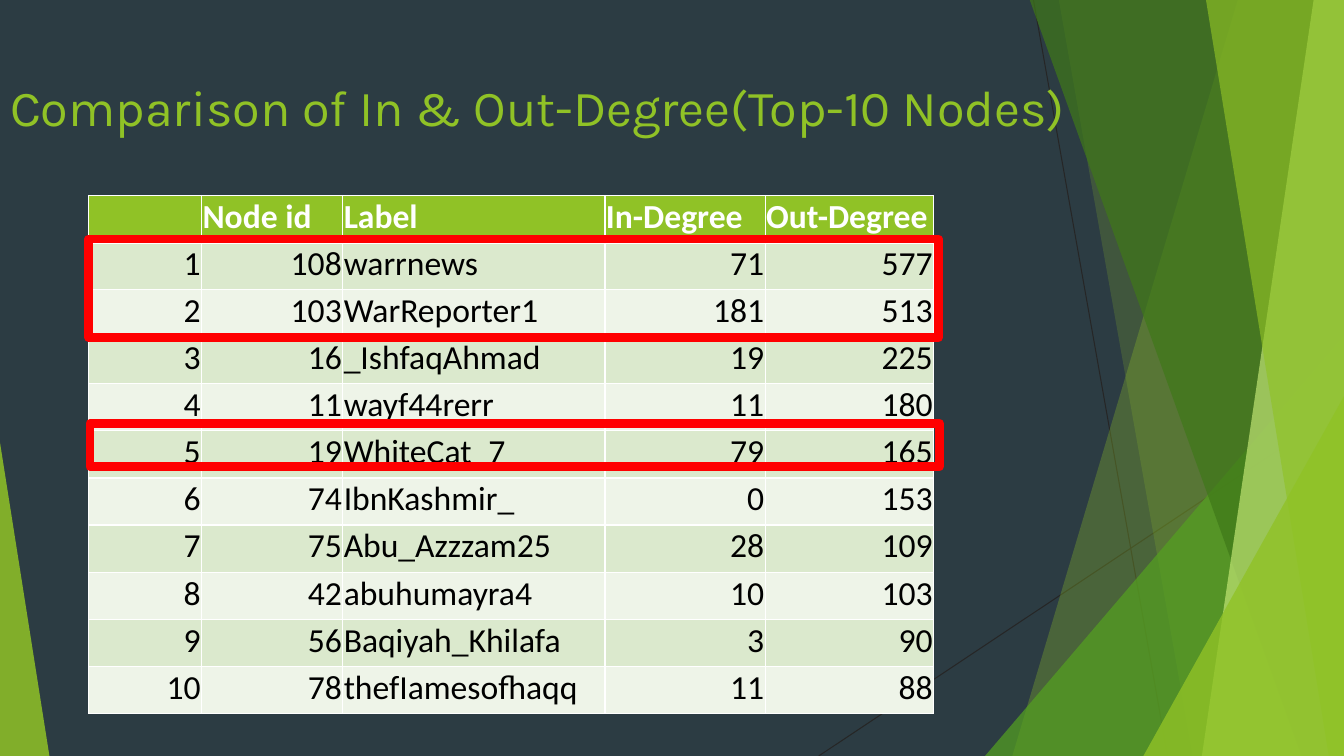
"""Build a slide that compares the in-degree and out-degree of the top ten nodes."""
import dataclasses
import typing

import lxml.etree
import pptx
import pptx.dml.color
import pptx.enum.shapes
import pptx.enum.text
import pptx.oxml.ns
import pptx.util

Inches = pptx.util.Inches
Align = pptx.enum.text.PP_ALIGN
Preset = pptx.enum.shapes.MSO_SHAPE


@dataclasses.dataclass(frozen=True)
class Theme:
    background: str = "2C3C43"
    accent: str = "90C226"
    leaf: str = "54A021"
    forest: str = "3F7819"
    lime: str = "C0E474"
    hairline: str = "262626"
    white: str = "FFFFFF"
    black: str = "000000"
    row_fills: tuple[str, str] = ("DBE9CD", "EEF4E8")
    highlight: str = "FF0000"
    title_font: str = "Karla"
    table_font: str = "Calibri"
    title_size: int = 36
    table_size: int = 24


@dataclasses.dataclass(frozen=True)
class Band:
    top_x: float
    bottom_x: float
    color: str
    opacity: int


@dataclasses.dataclass(frozen=True)
class Triangle:
    left: float
    top: float
    width: float
    apex: float
    color: str
    opacity: int


@dataclasses.dataclass(frozen=True)
class Hairline:
    begin: tuple[float, float]
    end: tuple[float, float]


@dataclasses.dataclass(frozen=True)
class Highlight:
    left: float
    top: float
    width: float
    height: float


@dataclasses.dataclass(frozen=True)
class Column:
    heading: str
    width: float
    alignment: Align = Align.RIGHT


THEME = Theme()
WIDTH, HEIGHT = 13.33, 7.5
BLEED_TOP = -0.01
HAIRLINES = [Hairline((10.25, 0), (11.58, HEIGHT)), Hairline((WIDTH, 4.03), (8.12, HEIGHT))]
FACETS = [
    Band(12.28, 10.04, THEME.accent, 30),
    Band(10.5, 11.83, THEME.accent, 20),
    Triangle(9.77, 3.33, 3.56, 1, THEME.leaf, 72),
    Band(10.21, 12.91, THEME.forest, 70),
    Band(13.03, 11.92, THEME.lime, 70),
    Band(11.96, 13.18, THEME.accent, 65),
    Triangle(11.34, 3.93, 1.99, 1, THEME.accent, 80),
    Triangle(0, 4.39, 0.49, 0, THEME.accent, 85),
]
COLUMNS = [
    Column("", 1.12),
    Column("Node id", 1.4),
    Column("Label", 2.6, Align.LEFT),
    Column("In-Degree", 1.59),
    Column("Out-Degree", 1.67),
]
NODES = [
    (108, "warrnews", 71, 577),
    (103, "WarReporter1", 181, 513),
    (16, "_IshfaqAhmad", 19, 225),
    (11, "wayf44rerr", 11, 180),
    (19, "WhiteCat_7", 79, 165),
    (74, "IbnKashmir_", 0, 153),
    (75, "Abu_Azzzam25", 28, 109),
    (42, "abuhumayra4", 10, 103),
    (56, "Baqiyah_Khilafa", 3, 90),
    (78, "thefIamesofhaqq", 11, 88),
]
ROW_HEIGHT = 0.41
HIGHLIGHTS = [Highlight(0.88, 2.37, 8.43, 0.98), Highlight(0.89, 4.2, 8.43, 0.43)]


def rgb(color: str) -> pptx.dml.color.RGBColor:
    return pptx.dml.color.RGBColor.from_string(color)


def write_text(frame: typing.Any, text: str, *, font: str, size: int, color: str,
               bold: bool = False, alignment: Align = Align.LEFT) -> None:
    paragraph = frame.paragraphs[0]
    paragraph.alignment = alignment
    run = paragraph.add_run()
    run.text = text
    run.font.name = font
    run.font.size = pptx.util.Pt(size)
    run.font.bold = bold
    run.font.color.rgb = rgb(color)


def draw_hairline(slide: typing.Any, hairline: Hairline) -> None:
    ends = [Inches(value) for value in (*hairline.begin, *hairline.end)]
    connector = slide.shapes.add_connector(pptx.enum.shapes.MSO_CONNECTOR.STRAIGHT, *ends)
    connector.line.color.rgb = rgb(THEME.hairline)
    connector.line.width = pptx.util.Pt(0.75)
    properties = connector.element.find(pptx.oxml.ns.qn("p:spPr"))
    lxml.etree.SubElement(properties, pptx.oxml.ns.qn("a:effectLst"))


def draw_facet(slide: typing.Any, facet: Band | Triangle) -> None:
    if isinstance(facet, Band):
        outline = [(WIDTH, BLEED_TOP), (WIDTH, HEIGHT), (facet.bottom_x, HEIGHT)]
        builder = slide.shapes.build_freeform(Inches(facet.top_x), Inches(BLEED_TOP))
        builder.add_line_segments([(Inches(x), Inches(y)) for x, y in outline], close=True)
        shape = builder.convert_to_shape()
    else:
        shape = slide.shapes.add_shape(
            Preset.ISOSCELES_TRIANGLE, Inches(facet.left), Inches(facet.top),
            Inches(facet.width), Inches(HEIGHT - facet.top))
        shape.adjustments[0] = facet.apex
    shape.shadow.inherit = False
    shape.line.fill.background()
    shape.fill.solid()
    shape.fill.fore_color.rgb = rgb(facet.color)
    color = shape.element.spPr.find(f".//{pptx.oxml.ns.qn('a:srgbClr')}")
    lxml.etree.SubElement(color, pptx.oxml.ns.qn("a:alpha"), val=str(facet.opacity * 1000))


def draw_title(slide: typing.Any, text: str) -> None:
    title = slide.shapes.title
    title.left, title.top = Inches(0), Inches(0.71)
    title.width, title.height = Inches(10.93), Inches(1.44)
    title.text_frame.vertical_anchor = pptx.enum.text.MSO_ANCHOR.TOP
    title.text_frame.auto_size = pptx.enum.text.MSO_AUTO_SIZE.NONE
    write_text(title.text_frame, text, font=THEME.title_font, size=THEME.title_size,
               color=THEME.accent)
    slide.shapes.element.append(title.element)


def format_cell(cell: typing.Any, fill: str, bottom_border: int) -> None:
    cell.margin_left = cell.margin_right = cell.margin_top = Inches(0.01)
    cell.margin_bottom = Inches(0.05)
    cell.vertical_anchor = pptx.enum.text.MSO_ANCHOR.BOTTOM
    properties = cell._tc.get_or_add_tcPr()
    for side, points in (("L", 1), ("R", 1), ("T", 1), ("B", bottom_border)):
        border = lxml.etree.SubElement(properties, pptx.oxml.ns.qn(f"a:ln{side}"),
                                       w=str(pptx.util.Pt(points)))
        solid = lxml.etree.SubElement(border, pptx.oxml.ns.qn("a:solidFill"))
        lxml.etree.SubElement(solid, pptx.oxml.ns.qn("a:srgbClr"), val=THEME.white)
    cell.fill.solid()
    cell.fill.fore_color.rgb = rgb(fill)


def draw_table(slide: typing.Any) -> None:
    rows = [[column.heading for column in COLUMNS]]
    rows += [[str(value) for value in (rank, *node)] for rank, node in enumerate(NODES, 1)]
    table = slide.shapes.add_table(
        len(rows), len(COLUMNS), Inches(0.88), Inches(1.94),
        Inches(sum(column.width for column in COLUMNS)), Inches(ROW_HEIGHT * len(rows))).table
    for index, column in enumerate(COLUMNS):
        table.columns[index].width = Inches(column.width)
    for row_index, row in enumerate(rows):
        header = row_index == 0
        table.rows[row_index].height = Inches(ROW_HEIGHT)
        fill = THEME.accent if header else THEME.row_fills[(row_index - 1) % 2]
        for column_index, (text, column) in enumerate(zip(row, COLUMNS)):
            cell = table.cell(row_index, column_index)
            format_cell(cell, fill, 3 if header else 1)
            if text:
                write_text(cell.text_frame, text, font=THEME.table_font, size=THEME.table_size,
                           color=THEME.white if header else THEME.black, bold=header,
                           alignment=Align.LEFT if header else column.alignment)


def draw_highlight(slide: typing.Any, box: Highlight) -> None:
    shape = slide.shapes.add_shape(Preset.RECTANGLE, *map(Inches, dataclasses.astuple(box)))
    shape.shadow.inherit = False
    shape.fill.background()
    shape.line.color.rgb = rgb(THEME.highlight)
    shape.line.width = pptx.util.Pt(6)


def main() -> None:
    presentation = pptx.Presentation()
    presentation.slide_width, presentation.slide_height = Inches(WIDTH), Inches(HEIGHT)
    slide = presentation.slides.add_slide(presentation.slide_layouts[5])
    slide.background.fill.solid()
    slide.background.fill.fore_color.rgb = rgb(THEME.background)
    for hairline in HAIRLINES:
        draw_hairline(slide, hairline)
    for facet in FACETS:
        draw_facet(slide, facet)
    draw_title(slide, "Comparison of In & Out-Degree(Top-10 Nodes)")
    draw_table(slide)
    for box in HIGHLIGHTS:
        draw_highlight(slide, box)
    presentation.save("out.pptx")


if __name__ == "__main__":
    main()
